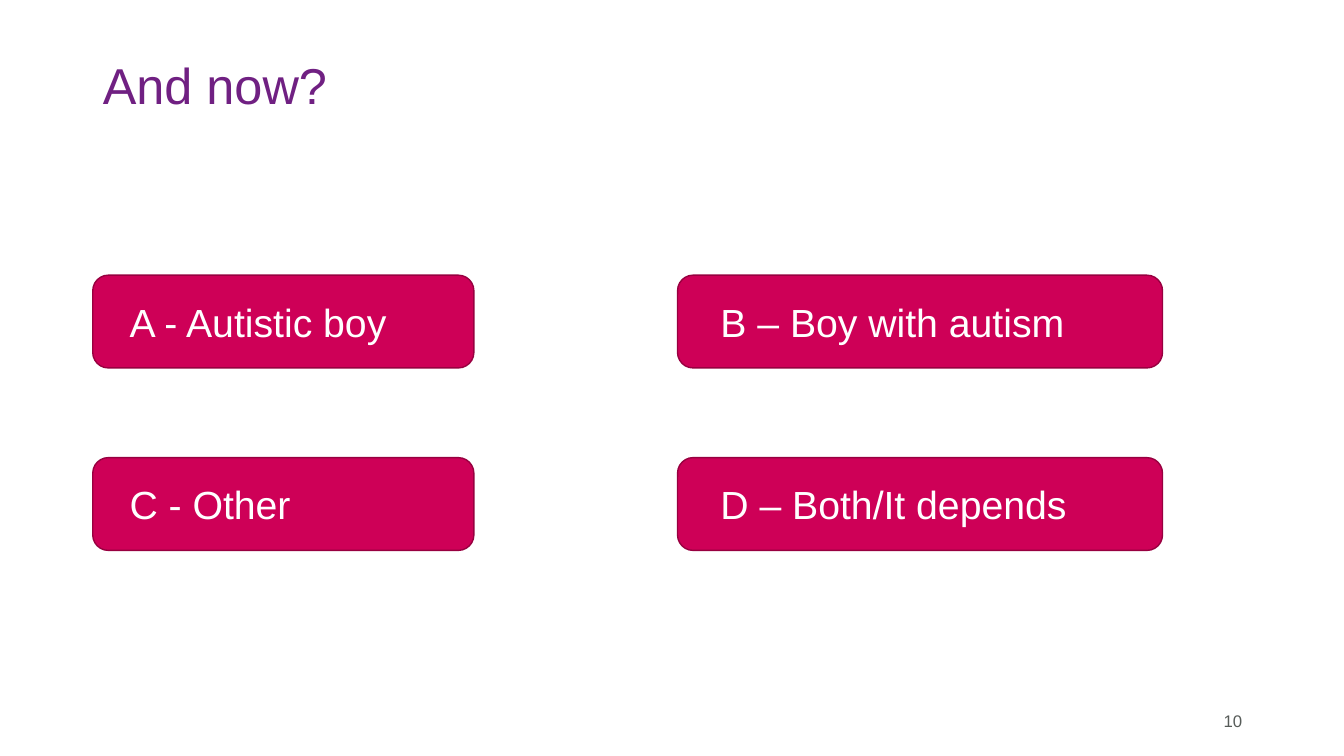
from pptx import Presentation
from pptx.dml.color import RGBColor
from pptx.enum.shapes import MSO_SHAPE
from pptx.enum.text import MSO_ANCHOR, PP_ALIGN
from pptx.util import Inches, Pt

TITLE = "And now?"
PAGE_NUMBER = "10"
ANSWERS = [
    ["A - Autistic boy", "B – Boy with autism"],
    ["C - Other", "D – Both/It depends"],
]

# Answer grid, in inches
COLUMNS = [
    {"left": 0.92, "width": 3.78, "inset": 0.32},
    {"left": 6.72, "width": 4.81, "inset": 0.38},
]
FIRST_ROW, ROW_STEP, ROW_HEIGHT = 2.73, 1.81, 0.92

TITLE_FORMAT = {"size": Pt(36), "color": "702082"}
ANSWER_FORMAT = {"size": Pt(28), "color": "FFFFFF"}
NUMBER_FORMAT = {"size": Pt(12), "color": "575C59"}
ANSWER_FILL, ANSWER_LINE = "CE0057", "980040"


def color(hex_value):
    return RGBColor.from_string(hex_value)


def write(shape, text, text_format, align=PP_ALIGN.LEFT):
    """Put one vertically centred paragraph into the shape."""
    frame = shape.text_frame
    frame.word_wrap = True
    frame.vertical_anchor = MSO_ANCHOR.MIDDLE
    paragraph = frame.paragraphs[0]
    paragraph.text = text
    paragraph.alignment = align
    font = paragraph.runs[0].font
    font.color.rgb = color(text_format["color"])
    for name, value in {"name": "Arial", "size": text_format["size"]}.items():
        setattr(font, name, value)
    return paragraph


def add_answer(slide, text, column, top):
    shape = slide.shapes.add_shape(
        MSO_SHAPE.ROUNDED_RECTANGLE,
        Inches(column["left"]), Inches(top),
        Inches(column["width"]), Inches(ROW_HEIGHT))
    shape.shadow.inherit = False
    shape.fill.solid()
    shape.fill.fore_color.rgb = color(ANSWER_FILL)
    shape.line.color.rgb = color(ANSWER_LINE)
    shape.line.width = Pt(1)
    shape.text_frame.margin_left = Inches(column["inset"])
    write(shape, text, ANSWER_FORMAT)


def main():
    presentation = Presentation()
    presentation.slide_width = Inches(13.33)
    presentation.slide_height = Inches(7.5)
    slide = presentation.slides.add_slide(presentation.slide_layouts[5])

    title = slide.shapes.title
    title_place = {"left": 0.92, "top": 0.57, "width": 10.91, "height": 0.6}
    for name, value in title_place.items():
        setattr(title, name, Inches(value))
    write(title, TITLE, TITLE_FORMAT).line_spacing = 0.9

    for row, answers in enumerate(ANSWERS):
        for column, answer in zip(COLUMNS, answers):
            add_answer(slide, answer, column, FIRST_ROW + row * ROW_STEP)

    number = slide.shapes.add_textbox(
        Inches(9.42), Inches(6.95), Inches(3), Inches(0.4))
    write(number, PAGE_NUMBER, NUMBER_FORMAT, PP_ALIGN.RIGHT)

    presentation.save("out.pptx")


if __name__ == "__main__":
    main()
